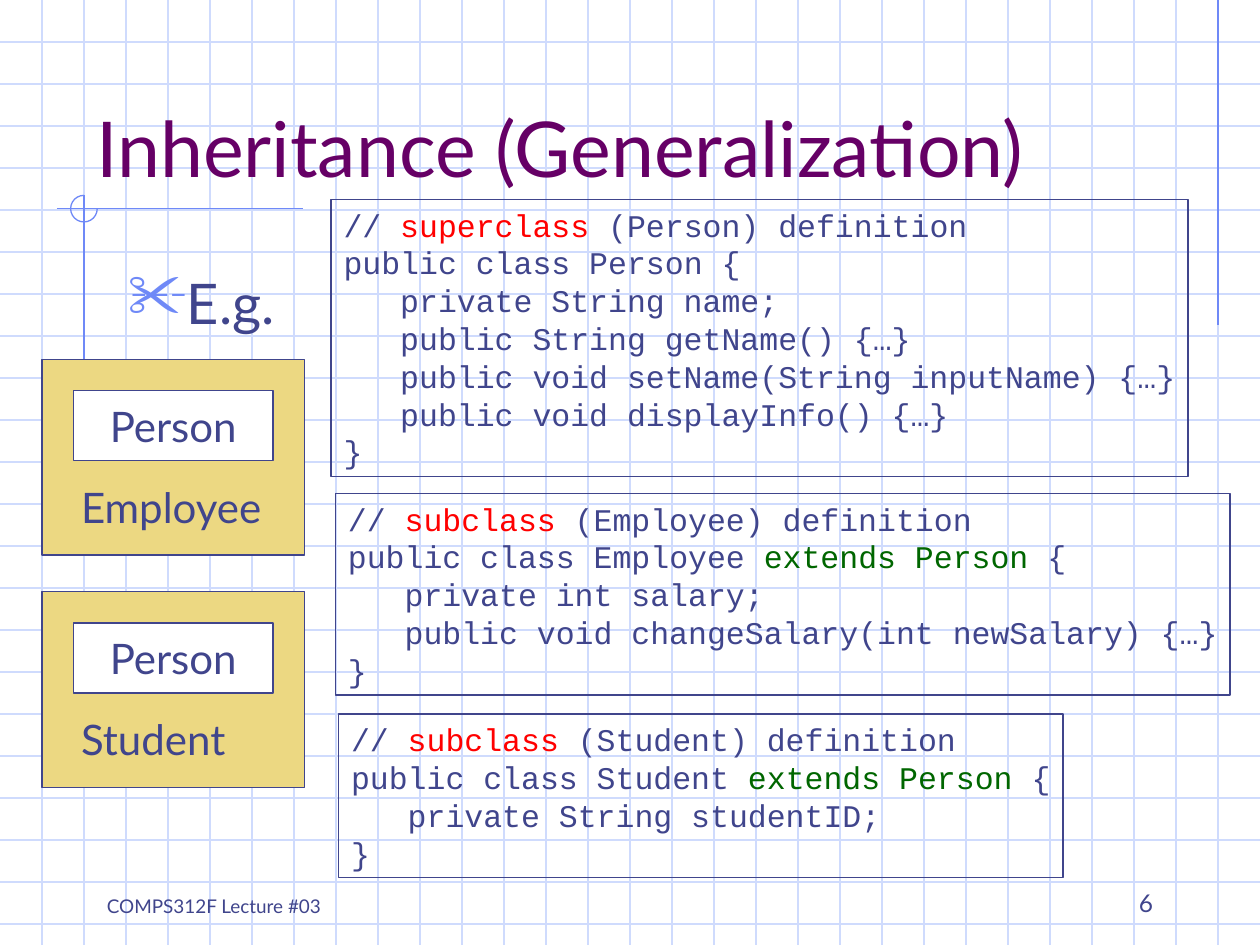
from lxml import etree
from pptx import Presentation
from pptx.dml.color import RGBColor
from pptx.enum import shapes as kinds, text as styles
from pptx.oxml import ns
from pptx.util import Pt

WIDTH, HEIGHT = 720, 540
GRID_STEP = 24
CODE_INDENT = 32.4  # three Courier New characters at 18 pt

WHITE = RGBColor(0xFF, 0xFF, 0xFF)
GRID = RGBColor(0xCF, 0xDB, 0xFD)
ACCENT = RGBColor(0x6F, 0x89, 0xF7)
INK = RGBColor(0x40, 0x45, 0x8C)
PURPLE = RGBColor(0x66, 0x00, 0x66)
RED = RGBColor(0xFF, 0x00, 0x00)
GREEN = RGBColor(0x00, 0x66, 0x00)
SAND = RGBColor(0xEC, 0xD8, 0x82)

LEFT, CENTER, RIGHT = styles.PP_ALIGN.LEFT, styles.PP_ALIGN.CENTER, styles.PP_ALIGN.RIGHT
TOP, MIDDLE, BOTTOM = (styles.MSO_ANCHOR.TOP, styles.MSO_ANCHOR.MIDDLE,
                       styles.MSO_ANCHOR.BOTTOM)


def add_line(shapes, start, end, color):
    points = [Pt(value) for value in (*start, *end)]
    line = shapes.add_connector(kinds.MSO_CONNECTOR.STRAIGHT, *points)
    line.line.color.rgb = color
    line.line.width = Pt(0.75)
    etree.SubElement(line._element.spPr, ns.qn("a:effectLst"))


def add_preset(shapes, preset, box, fill=None, line=INK):
    shape = shapes.add_shape(preset, *[Pt(value) for value in box])
    shape.shadow.inherit = False
    if fill is None:
        shape.fill.background()
    else:
        shape.fill.solid()
        shape.fill.fore_color.rgb = fill
    shape.line.color.rgb = line
    shape.line.width = Pt(0.75)
    return shape


def write_text(shape, lines, font="Lato", size=24, color=INK, align=LEFT,
               anchor=TOP, wrap=True):
    """Each line is a string, or a list of (text, color) runs."""
    frame = shape.text_frame
    frame.word_wrap = wrap
    frame.auto_size = styles.MSO_AUTO_SIZE.NONE
    frame.vertical_anchor = anchor
    for index, line in enumerate(lines):
        paragraph = frame.paragraphs[0] if index == 0 else frame.add_paragraph()
        paragraph.alignment = align
        for words, run_color in [(line, color)] if isinstance(line, str) else line:
            run = paragraph.add_run()
            run.text = words
            run.font.name = font
            run.font.size = Pt(size)
            run.font.color.rgb = run_color
    return frame


def add_text(shapes, box, words, **text_format):
    shape = shapes.add_textbox(*[Pt(value) for value in box])
    return write_text(shape, [words], **text_format)


def add_grid(slide, box):
    left, top, width, height = box
    shapes = slide.shapes.add_group_shape().shapes
    for y in range(GRID_STEP, height, GRID_STEP):
        add_line(shapes, (left, top + y), (left + width, top + y), GRID)
    for x in range(GRID_STEP, width, GRID_STEP):
        add_line(shapes, (left + x, top), (left + x, top + height), GRID)


def add_ornament(slide, box):
    """Crossing lines with a three-quarter circle, and a line at the right edge."""
    left, top, width, height = box
    shapes = slide.shapes.add_group_shape().shapes
    cross_x, cross_y, radius = left + 48, top + 119.25, 7.6
    add_line(shapes, (left + width - 24, top), (left + width - 24, top + 186), ACCENT)
    add_line(shapes, (left + 32.5, cross_y), (left + 173, cross_y), ACCENT)
    add_line(shapes, (cross_x, cross_y - radius), (cross_x, top + 294.5), ACCENT)
    arc = add_preset(shapes, kinds.MSO_SHAPE.ARC,
                     (cross_x - radius, cross_y - radius, 2 * radius, 2 * radius),
                     line=ACCENT)
    arc.adjustments[0] = 0
    arc.adjustments[1] = 162  # 270 degrees, in units of 100000/60000 degree


def add_example_bullet(slide, box):
    frame = add_text(slide.shapes, box, "E.g.", size=32)
    paragraph = frame.paragraphs[0]
    paragraph.space_before = Pt(8)
    properties = paragraph._p.get_or_add_pPr()
    properties.set("marL", str(Pt(27)))
    properties.set("indent", str(-Pt(27)))
    bullet_color = etree.SubElement(properties, ns.qn("a:buClr"))
    etree.SubElement(bullet_color, ns.qn("a:srgbClr"), val=str(ACCENT))
    etree.SubElement(properties, ns.qn("a:buSzPct"), val="110000")
    etree.SubElement(properties, ns.qn("a:buChar"), char="✂")


def add_code_panel(slide, box, role, name, members, parent=None):
    comment = [("// ", INK), (role, RED), (f" ({name}) definition", INK)]
    declaration = f"public class {name} {{"
    if parent:
        declaration = [(f"public class {name} ", INK),
                       (f"extends {parent}", GREEN), (" {", INK)]
    panel = add_preset(slide.shapes, kinds.MSO_SHAPE.RECTANGLE, box)
    frame = write_text(panel, [comment, declaration, *members, "}"],
                       font="Courier New", size=18, wrap=False)
    for paragraph in frame.paragraphs[2:-1]:
        paragraph._p.get_or_add_pPr().set("marL", str(Pt(CODE_INDENT)))


def add_class_card(slide, box, name, name_width):
    """A subclass card that holds its superclass."""
    left, top, width, height = box
    shapes = slide.shapes.add_group_shape().shapes
    add_preset(shapes, kinds.MSO_SHAPE.RECTANGLE, box, fill=SAND)
    inner = add_preset(shapes, kinds.MSO_SHAPE.RECTANGLE,
                       (left + 18, top + 18, width - 36, 40), fill=WHITE)
    write_text(inner, ["Person"], align=CENTER, anchor=MIDDLE, wrap=False)
    add_text(shapes, (left + 15.25, top + 66.25, name_width, 36), name, wrap=False)


def add_footer(slide, box):
    left, top, width, height = box
    add_text(slide.shapes, (left, top, 150, height), "COMPS312F Lecture #03",
             size=10.8, anchor=BOTTOM)
    add_text(slide.shapes, (left + width - 150, top, 150, height), "6",
             size=14, align=RIGHT, anchor=BOTTOM)


def main():
    presentation = Presentation()
    presentation.slide_width, presentation.slide_height = Pt(WIDTH), Pt(HEIGHT)
    slide = presentation.slides.add_slide(presentation.slide_layouts[6])

    # Background
    add_grid(slide, (0, 0, WIDTH, HEIGHT))
    add_ornament(slide, (0, 0, WIDTH, HEIGHT))

    # Footer, title and bullet
    add_footer(slide, (54, 492, 612, 36))
    add_text(slide.shapes, (48, 24, 612, 90), "Inheritance (Generalization)",
             size=44, color=PURPLE, anchor=BOTTOM)
    add_example_bullet(slide, (66, 150, 612, 324))

    # Class definitions
    add_code_panel(slide, (189.25, 114, 489.6, 158.5), "superclass", "Person", [
        "private String name;",
        "public String getName() {…}",
        "public void setName(String inputName) {…}",
        "public void displayInfo() {…}",
    ])
    add_code_panel(slide, (191.75, 282, 511.2, 115.25), "subclass", "Employee", [
        "private int salary;",
        "public void changeSalary(int newSalary) {…}",
    ], parent="Person")
    add_code_panel(slide, (193.5, 408, 414, 93.6), "subclass", "Student", [
        "private String studentID;",
    ], parent="Person")

    # Class cards
    for top, name, name_width in ((205.25, "Employee", 124.5), (338, "Student", 103)):
        add_class_card(slide, (24, top, 150, 112), name, name_width)

    presentation.save("out.pptx")


if __name__ == "__main__":
    main()
